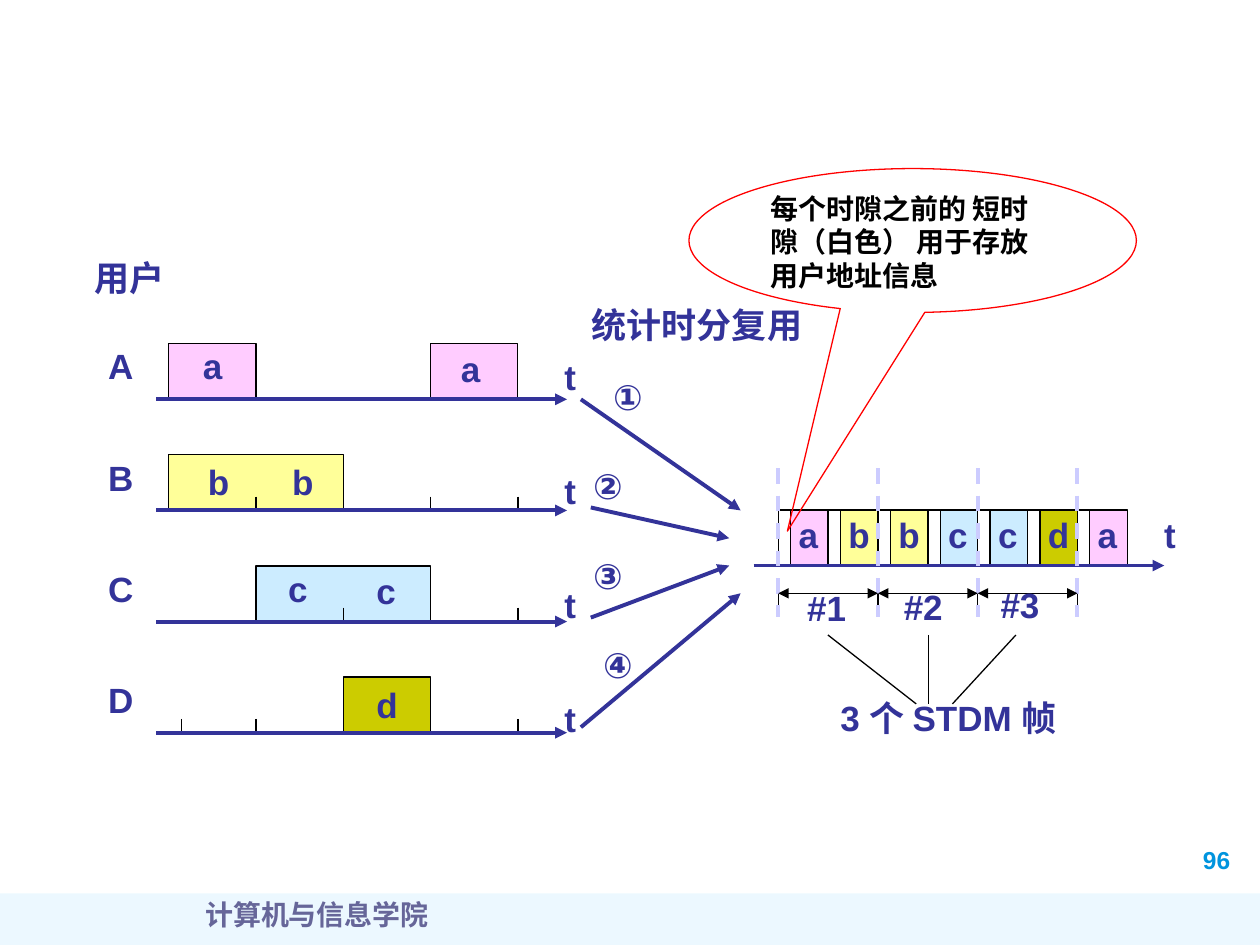
from lxml.etree import SubElement
from pptx import Presentation
from pptx.dml.color import RGBColor
from pptx.enum.dml import MSO_LINE
from pptx.enum.shapes import MSO_CONNECTOR, MSO_SHAPE
from pptx.enum.text import MSO_AUTO_SIZE, PP_ALIGN
from pptx.oxml.ns import qn
from pptx.util import Cm, Pt

NAVY = RGBColor(0x33, 0x33, 0x99)
BLACK = RGBColor(0, 0, 0)
RED = RGBColor(0xFF, 0, 0)
LILAC = RGBColor(0xCC, 0xCC, 0xFF)
SKY = RGBColor(0xA7, 0xE2, 0xFF)
BLUE = RGBColor(0x00, 0x94, 0xDE)
SLATE = RGBColor(0x66, 0x66, 0x99)
FILLS = {
    "a": RGBColor(0xFF, 0xCC, 0xFF),
    "b": RGBColor(0xFF, 0xFF, 0x99),
    "c": RGBColor(0xCC, 0xEC, 0xFF),
    "d": RGBColor(0xCC, 0xCC, 0x00),
}
SLOT_H = 1.12
ROW_PITCH = 2.24
USER_SLOT = 1.76
FRAME = 2.01
CELL = FRAME / 2
ADDRESS = 0.25

USERS = [
    ("A", "a", [(0, 1), (3, 1)], [], [(0.69, -1.22), (5.89, -1.17)]),
    ("B", "b", [(0, 2)], [1, 3, 4], [(0.79, -1.14), (2.49, -1.14)]),
    ("C", "c", [(1, 2)], [2, 4], [(2.41, -1.22), (4.19, -1.17)]),
    ("D", "d", [(2, 1)], [0.15, 1, 4], [(4.19, -1.12)]),
]
INPUTS = [
    ("①", (0.43, 1.45), (0.03, 2.06), (3.25, 4.3)),
    ("②", (0.03, 3.25), (0.23, 4.24), (3.02, 4.86)),
    ("③", (0.03, 5.06), (0.23, 6.46), (3.02, 5.41)),
    ("④", (0.23, 6.86), (0.03, 8.67), (3.25, 5.97)),
]


def add_text(slide, text, left, top, width, height=1.09, size=20, color=NAVY,
             font="Arial", wrap=False, align=PP_ALIGN.LEFT):
    """Add a bold one-paragraph text box."""
    sp = slide.shapes.add_textbox(Cm(left), Cm(top), Cm(width), Cm(height))
    tf = sp.text_frame
    tf.word_wrap = wrap
    tf.auto_size = MSO_AUTO_SIZE.SHAPE_TO_FIT_TEXT
    p = tf.paragraphs[0]
    p.alignment = align
    r = p.add_run()
    r.text = text
    r.font.size = Pt(size)
    r.font.name = font
    r.font.bold = True
    r.font.color.rgb = color


def add_line(slide, start, end, color=BLACK, width=0.75, heads=(), dash=None):
    """Add a straight line with optional arrowheads and dashes."""
    sp = slide.shapes.add_connector(
        MSO_CONNECTOR.STRAIGHT, *(Cm(v) for v in (*start, *end)))
    sp.line.color.rgb = color
    sp.line.width = Pt(width)
    if dash:
        sp.line.dash_style = dash
    ln = sp.line._get_or_add_ln()
    for head in heads:
        SubElement(ln, qn(f"a:{head}"), type="triangle")
    SubElement(sp._element.spPr, qn("a:effectLst"))


def add_arrow(slide, start, end):
    """Add a thick navy arrow."""
    add_line(slide, start, end, NAVY, 2.25, ["tailEnd"])


def add_slot(slide, left, base, width, fill=None):
    """Add a time slot outlined on three sides and standing on its axis."""
    right, top = left + width, base - SLOT_H
    fb = slide.shapes.build_freeform(Cm(left), Cm(base))
    fb.add_line_segments(
        [(Cm(x), Cm(y)) for x, y in ((left, top), (right, top), (right, base))],
        close=False)
    sp = fb.convert_to_shape()
    sp.shadow.inherit = False
    sp.line.color.rgb = BLACK
    sp.line.width = Pt(0.75)
    if fill is None:
        sp.fill.background()
    else:
        sp.fill.solid()
        sp.fill.fore_color.rgb = fill


def user_row(slide, left, base, row, user):
    """Draw the time axis of one user with its slots."""
    name, letter, blocks, ticks, letters = user
    first = left + 0.25
    for start, count in blocks:
        add_slot(slide, first + start * USER_SLOT, base, count * USER_SLOT, FILLS[letter])
    for tick in ticks:
        x = first + tick * USER_SLOT
        add_line(slide, (x, base - 0.28), (x, base))
    for dx, dy in letters:
        add_text(slide, letter, left + dx, base + dy, 0.91)
    add_text(slide, name, left - 1.22, base - 1.22, 1)
    add_text(slide, "t", left + 7.98, base - 1.01 + 0.06 * row, 0.71)
    add_arrow(slide, (left, base), (left + 8.28, base))


def users_region(slide, left, top):
    """Draw the heading and the four user rows."""
    add_text(slide, "用户", left, top, 1.93)
    for row, user in enumerate(USERS):
        user_row(slide, left + 1.5, top + 3 + row * ROW_PITCH, row, user)


def multiplexer_region(slide, left, top):
    """Draw the heading and the numbered arrows into the shared line."""
    add_text(slide, "统计时分复用", left, top, 4.75)
    for label, (dx, dy), (x1, y1), (x2, y2) in INPUTS:
        add_arrow(slide, (left + x1, top + y1), (left + x2, top + y2))
        add_text(slide, label, left + dx, top + dy, 1.22)


def frames_region(slide, left, base):
    """Draw the multiplexed cells, frame limits and frame labels."""
    for i, letter in enumerate("abbccda"):
        x = left + i * CELL
        add_slot(slide, x, base, ADDRESS)
        add_slot(slide, x + ADDRESS, base, CELL - ADDRESS, FILLS[letter])
        add_text(slide, letter, x + ADDRESS - 0.09, base - 1.17, 0.91)
    for dx in (2 * CELL + ADDRESS, 3 * CELL, 6 * CELL):
        add_line(slide, (left + dx, base - 0.28), (left + dx, base))
    add_arrow(slide, (left - 0.5, base), (left + 7.78, base))
    add_text(slide, "t", left + 7.53, base - 1.17, 0.71)

    for i in range(4):
        x = left + i * FRAME
        add_line(slide, (x, base + 0.28), (x, base + 0.84))
        add_line(slide, (x, base - 1.96), (x, base + 1.04), LILAC, 2.25, dash=MSO_LINE.DASH)
    for i, dy in enumerate((0.3, 0.28, 0.23)):
        x = left + i * FRAME
        add_line(slide, (x, base + 0.56), (x + FRAME, base + 0.56),
                 heads=["headEnd", "tailEnd"])
        add_text(slide, f"#{i + 1}", left + 0.33 + 1.95 * i, base + dy, 1.3)
    for x1, x2 in ((1, 2.78), (3.03, 3.03), (4.79, 3.51)):
        add_line(slide, (left + x1, base + 1.4), (left + x2, base + 2.79))
    add_text(slide, "3 个 STDM 帧", left + 1, base + 2.51, 4.9, wrap=True)


def callout(slide, left, top, width, height):
    """Draw the balloon that explains the short slots."""
    sp = slide.shapes.add_shape(
        MSO_SHAPE.OVAL_CALLOUT, Cm(left), Cm(top), Cm(width), Cm(height))
    sp.shadow.inherit = False
    sp.adjustments[0], sp.adjustments[1] = -0.28, 2.02
    sp.fill.background()
    sp.line.color.rgb = RED
    sp.line.width = Pt(0.75)
    add_text(slide, "每个时隙之前的 短时隙（白色） 用于存放 用户地址信息",
             left + 1.4, top + 0.33, 6.17, 2.31, 16, BLACK, wrap=True)


def footer(slide, left, top, width, height):
    """Draw the tinted band with the school name and page number."""
    sp = slide.shapes.add_shape(
        MSO_SHAPE.RECTANGLE, Cm(left), Cm(top), Cm(width), Cm(height))
    sp.shadow.inherit = False
    sp.line.fill.background()
    sp.fill.solid()
    sp.fill.fore_color.rgb = SKY
    color = sp._element.spPr.find(f"{qn('a:solidFill')}/{qn('a:srgbClr')}")
    SubElement(color, qn("a:alpha"), val="21000")
    add_text(slide, "96", left + 24, top - 1.09, 1.5, 0.84, 14, BLUE)
    add_text(slide, "计算机与信息学院", left + 0.69, top - 0.05, 11.4, 1.27, 16, SLATE,
             "Times New Roman", wrap=True, align=PP_ALIGN.CENTER)


def main():
    """Build and save the slide."""
    prs = Presentation()
    prs.slide_width, prs.slide_height = Cm(25.4), Cm(19.05)
    slide = prs.slides.add_slide(prs.slide_layouts[6])
    footer(slide, 0, 18.01, 25.4, 1.04)
    users_region(slide, 1.65, 5.05)
    multiplexer_region(slide, 11.68, 5.99)
    frames_region(slide, 15.69, 11.4)
    callout(slide, 13.89, 3.4, 9.02, 2.9)
    prs.save("out.pptx")


if __name__ == "__main__":
    main()
